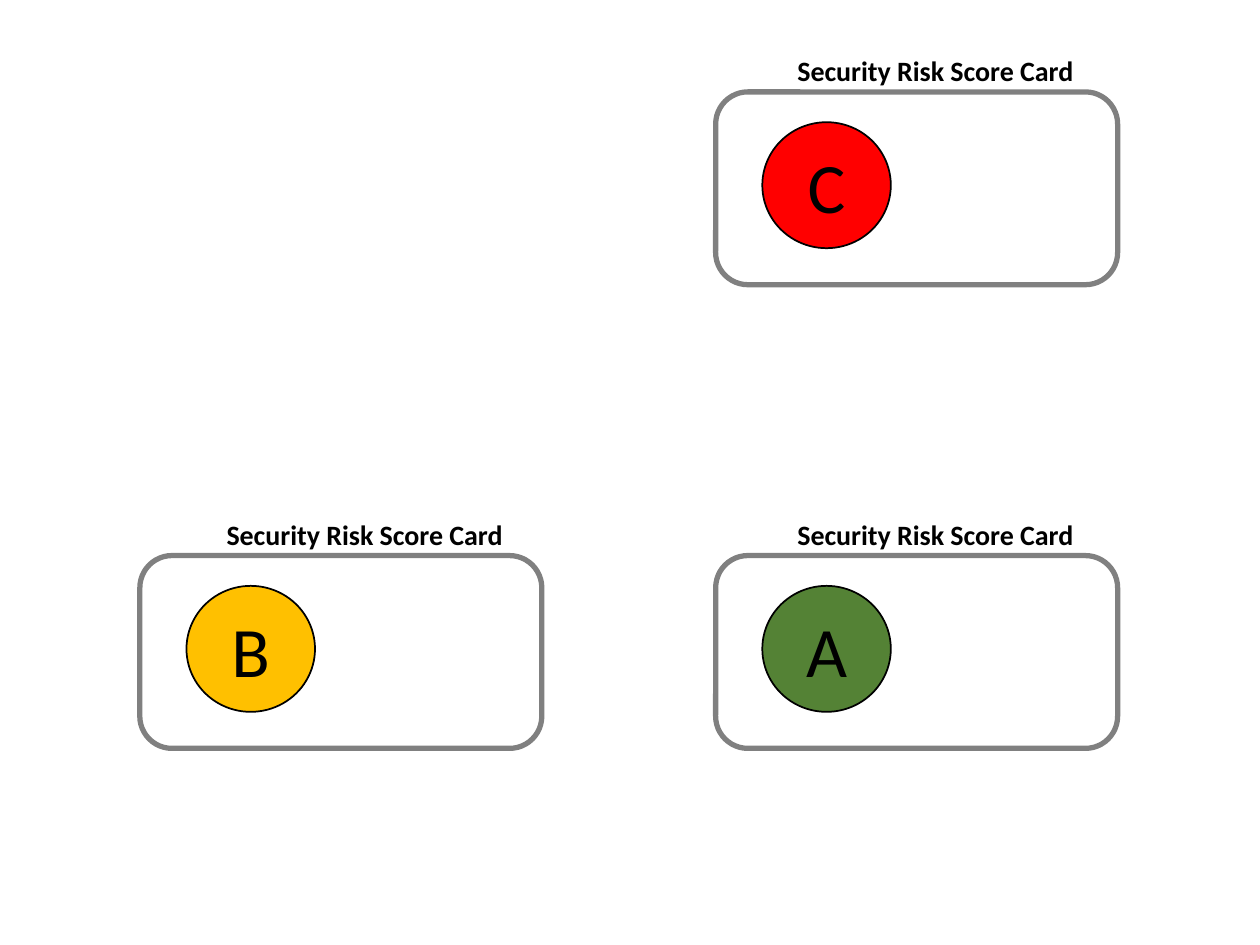
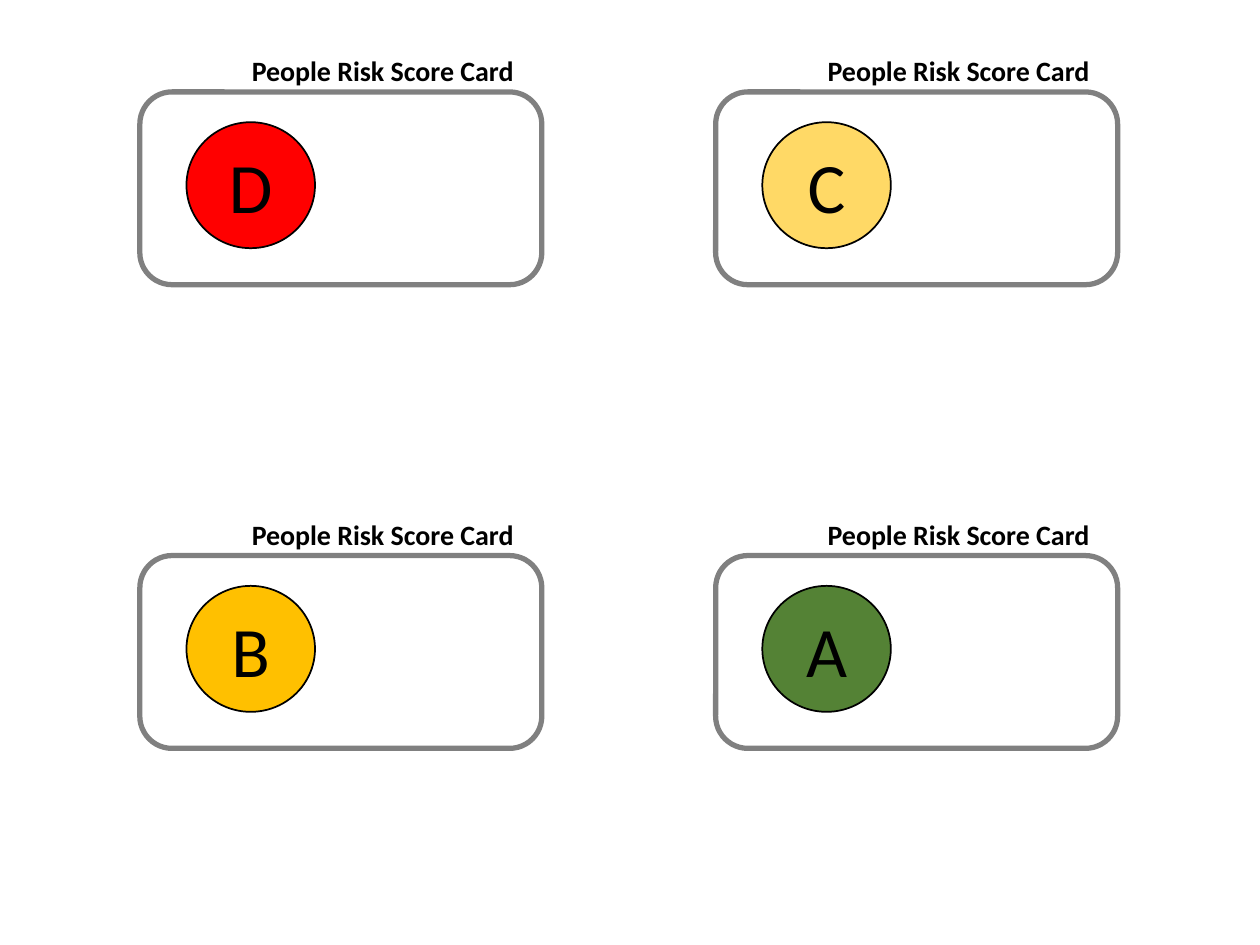
import pptx
import pptx.dml.color
import pptx.enum.shapes
import pptx.enum.text
import pptx.util
from pptx.util import Inches

SHAPES = pptx.enum.shapes.MSO_SHAPE
ALIGN = pptx.enum.text.PP_ALIGN
ANCHOR = pptx.enum.text.MSO_ANCHOR

# Shared grid: two columns and two rows of cards
COLUMNS = (1.11, 5.68)
ROWS = (0.73, 4.41)
CARD_WIDTH, CARD_HEIGHT = 3.19, 1.53

RED, AMBER, YELLOW, GREEN = "FF0000", "FFC000", "FFD966", "548235"


def color(hex_string):
    return pptx.dml.color.RGBColor.from_string(hex_string)


class ScoreCardDeck:
    font = "Calibri"
    ink = "000000"
    frame_color = "808080"

    def __init__(self):
        self.prs = pptx.Presentation()
        self.prs.slide_width, self.prs.slide_height = Inches(10), Inches(7.5)
        self.slide = None

    def new_slide(self):
        self.slide = self.prs.slides.add_slide(self.prs.slide_layouts[6])

    def format_text(self, frame, text, size, bold=False, align=ALIGN.LEFT):
        frame.text = text
        paragraph = frame.paragraphs[0]
        paragraph.alignment = align
        font = paragraph.runs[0].font
        font.name, font.size, font.bold = self.font, pptx.util.Pt(size), bold
        font.color.rgb = color(self.ink)

    def outlined(self, kind, left, top, width, height, line, weight, fill=None):
        shape = self.slide.shapes.add_shape(
            kind, Inches(left), Inches(top), Inches(width), Inches(height))
        shape.shadow.inherit = False
        shape.line.color.rgb = color(line)
        shape.line.width = pptx.util.Pt(weight)
        if fill:
            shape.fill.solid()
            shape.fill.fore_color.rgb = color(fill)
        else:
            shape.fill.background()
        return shape

    def frame(self, left, top):
        self.outlined(SHAPES.ROUNDED_RECTANGLE, left, top,
                      CARD_WIDTH, CARD_HEIGHT, self.frame_color, 3)

    def grade(self, letter, fill, left, top):
        circle = self.outlined(SHAPES.OVAL, left, top, 1.02, 1, self.ink, 1, fill)
        circle.text_frame.vertical_anchor = ANCHOR.MIDDLE
        self.format_text(circle.text_frame, letter, 40.5, align=ALIGN.CENTER)

    def heading(self, text, right, top, width):
        box = self.slide.shapes.add_textbox(
            Inches(right - width), Inches(top), Inches(width), Inches(0.37))
        box.text_frame.word_wrap = True
        self.format_text(box.text_frame, text, 16, bold=True)

    def card(self, title, title_width, letter, fill, column, row):
        left, top = COLUMNS[column], ROWS[row]
        self.frame(left, top)
        self.grade(letter, fill, left + 0.37, top + 0.24)
        # Headings end just inside the right edge of their card
        self.heading(title, left + CARD_WIDTH - 0.04, top - 0.35, title_width)


def main():
    deck = ScoreCardDeck()

    # Security: grades B, C and A; headings differ in width by column
    deck.new_slide()
    security_widths = (2.56, 2.6)
    for letter, fill, column, row in (
            ("B", AMBER, 0, 1), ("C", RED, 1, 0), ("A", GREEN, 1, 1)):
        deck.card("Security Risk Score Card", security_widths[column],
                  letter, fill, column, row)

    # People: grades D to A
    deck.new_slide()
    for letter, fill, column, row in (
            ("D", RED, 0, 0), ("B", AMBER, 0, 1),
            ("C", YELLOW, 1, 0), ("A", GREEN, 1, 1)):
        deck.card("People Risk Score Card", 2.36, letter, fill, column, row)

    deck.prs.save("out.pptx")


if __name__ == "__main__":
    main()
